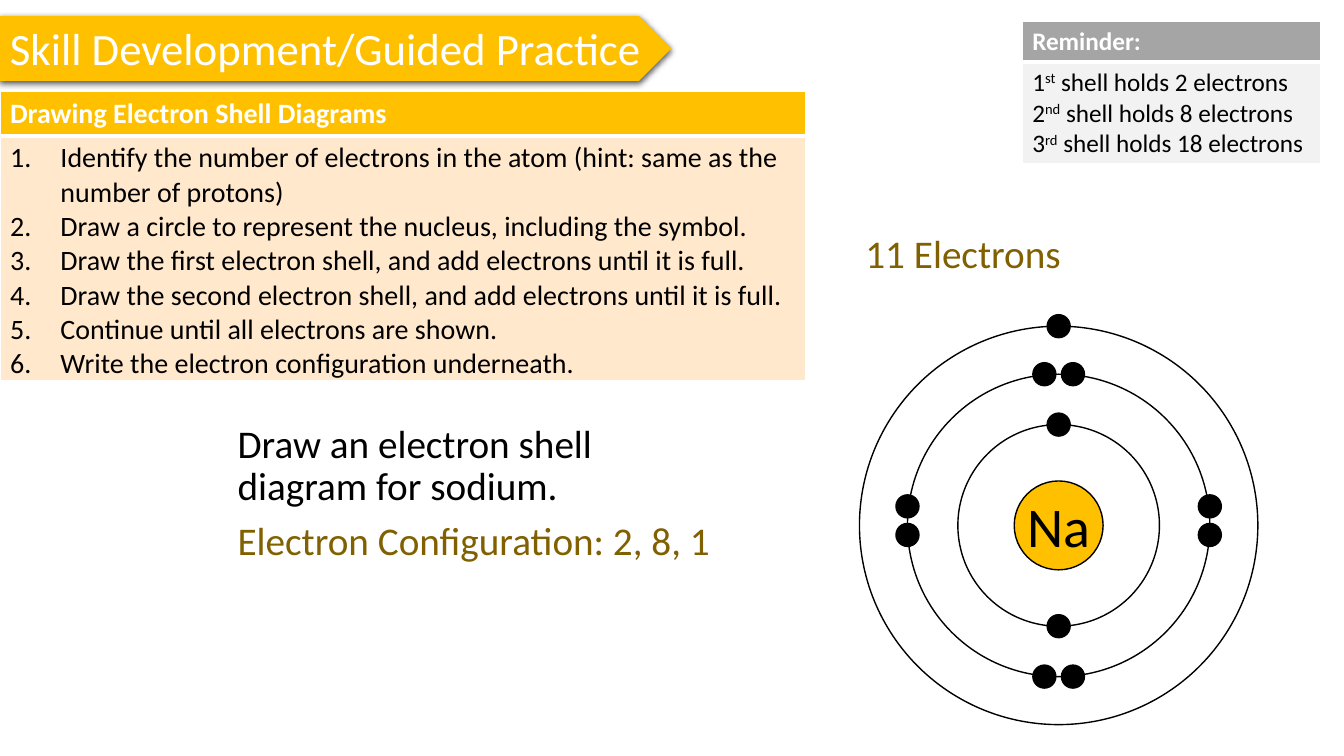
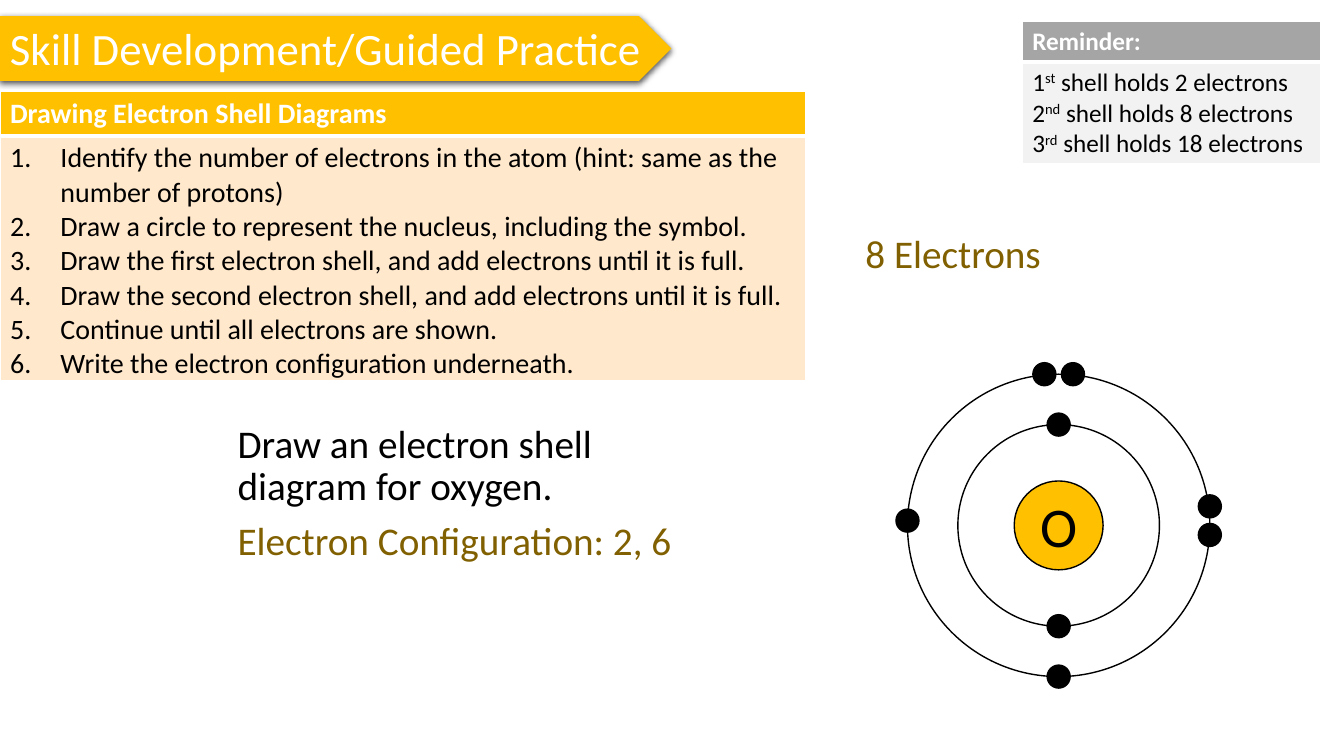
import lxml.etree
import pptx
import pptx.dml.color
import pptx.enum.shapes
import pptx.enum.text
import pptx.oxml.ns
import pptx.util

Cm = pptx.util.Cm
Pt = pptx.util.Pt
SHAPE = pptx.enum.shapes.MSO_SHAPE
ANCHOR = pptx.enum.text.MSO_ANCHOR
ALIGN = pptx.enum.text.PP_ALIGN
qn = pptx.oxml.ns.qn

FONT = "Calibri"
COLORS = {
    "gold": "FFC000",
    "cream": "FFE8CC",
    "gray": "A5A5A5",
    "pale": "F2F2F2",
    "answer": "806000",
    "black": "000000",
    "white": "FFFFFF",
}
STEPS = [
    "Identify the number of electrons in the atom (hint: same as the number of protons)",
    "Draw a circle to represent the nucleus, including the symbol.",
    "Draw the first electron shell, and add electrons until it is full.",
    "Draw the second electron shell, and add electrons until it is full.",
    "Continue until all electrons are shown.",
    "Write the electron configuration underneath.",
]
REMINDERS = [
    "1^st^ shell holds 2 electrons",
    "2^nd^ shell holds 8 electrons",
    "3^rd^ shell holds 18 electrons",
]
CENTER = (26.68, 13.24)
NUCLEUS_RADIUS = 1.12
ELECTRON_RADIUS = 0.29
PAIR_OFFSET = 0.36
SIDE_DRIFT = -0.12
SHELL_RADII = [2.54, 3.81, 5.02]
DIRECTIONS = {"top": (0, -1), "right": (1, 0), "bottom": (0, 1), "left": (-1, 0)}
ATOMS = [
    {
        "name": "sodium",
        "symbol": "Na",
        "shells": [
            {"top": 1, "bottom": 1},
            {"top": 2, "right": 2, "bottom": 2, "left": 2},
            {"top": 1},
        ],
    },
    {
        "name": "oxygen",
        "symbol": "O",
        "shells": [
            {"top": 1, "bottom": 1},
            {"top": 2, "right": 2, "bottom": 1, "left": 1},
        ],
    },
]


def rgb(name):
    return pptx.dml.color.RGBColor.from_string(COLORS[name])


def add_element(parent, tag, **attributes):
    return lxml.etree.SubElement(parent, qn(tag), attributes)


def write(frame, lines, size, color="black", bold=False, align=ALIGN.LEFT,
          spacing=None, after=None, numbered=False):
    for index, line in enumerate(lines):
        paragraph = frame.paragraphs[0] if index == 0 else frame.add_paragraph()
        if numbered:
            properties = paragraph._p.get_or_add_pPr()
            properties.set("marL", str(Cm(1.27)))
            properties.set("indent", str(-Cm(1.27)))
            add_element(properties, "a:buFont", typeface="+mj-lt")
            add_element(properties, "a:buAutoNum", type="arabicPeriod")
        paragraph.alignment = align
        if spacing:
            paragraph.line_spacing = spacing
        if after:
            paragraph.space_after = Pt(after)
        for position, text in enumerate(line.split("^")):
            span = paragraph.add_run()
            span.text = text
            span.font.name = FONT
            span.font.size = Pt(size)
            span.font.bold = bold
            span.font.color.rgb = rgb(color)
            if position % 2:
                span._r.get_or_add_rPr().set("baseline", "30000")


class Lesson:
    def __init__(self):
        self.deck = pptx.Presentation()
        self.deck.slide_width = Cm(33.87)
        self.deck.slide_height = Cm(19.05)
        self.page = None

    def add_page(self):
        self.page = self.deck.slides.add_slide(self.deck.slide_layouts[6])

    def shape(self, kind, left, top, width, height, fill=None, line=None):
        box = self.page.shapes.add_shape(kind, Cm(left), Cm(top), Cm(width), Cm(height))
        box.shadow.inherit = False
        if fill:
            box.fill.solid()
            box.fill.fore_color.rgb = rgb(fill)
        else:
            box.fill.background()
        if line:
            box.line.color.rgb = rgb(line)
            box.line.width = Pt(1)
        else:
            box.line.fill.background()
        return box

    def circle(self, x, y, radius, fill=None):
        return self.shape(SHAPE.OVAL, x - radius, y - radius, 2 * radius, 2 * radius,
                          fill, "black")

    def banner(self, text):
        box = self.shape(SHAPE.PENTAGON, 0, 0.41, 16.92, 1.63, "gold")
        effects = box._element.spPr.find(qn("a:effectLst"))
        shadow = add_element(effects, "a:outerShdw", blurRad=str(Pt(4.5)),
                             dist=str(Pt(1.5)), dir="5400000", algn="ctr", rotWithShape="0")
        color = add_element(shadow, "a:srgbClr", val=COLORS["black"])
        add_element(color, "a:alpha", val="63000")
        box.text_frame.word_wrap = False
        box.text_frame.vertical_anchor = ANCHOR.TOP
        write(box.text_frame, [text], 32, "white")

    def text(self, text, left, top, width, color="black"):
        box = self.page.shapes.add_textbox(Cm(left), Cm(top), Cm(width), Cm(2.18))
        box.text_frame.word_wrap = True
        write(box.text_frame, [text], 28, color, spacing=0.9, after=12)

    def borders(self, cell, top, bottom):
        properties = cell._tc.get_or_add_tcPr()
        for side, width in (("L", 1), ("R", 1), ("T", top), ("B", bottom)):
            line = add_element(properties, "a:ln" + side, w=str(Pt(width)))
            fill = add_element(line, "a:solidFill")
            add_element(fill, "a:srgbClr", val=COLORS["white"])

    def panel(self, heading, lines, place, heights, fills, size, numbered=False):
        left, top, width = place
        table = self.page.shapes.add_table(2, 1, Cm(left), Cm(top), Cm(width),
                                           Cm(sum(heights))).table
        table.horz_banding = False
        for row, height in zip(table.rows, heights):
            row.height = Cm(height)
        header, body = table.cell(0, 0), table.cell(1, 0)
        self.borders(header, 1, 3)
        self.borders(body, 3, 1)
        for cell, fill in zip((header, body), fills):
            cell.fill.solid()
            cell.fill.fore_color.rgb = rgb(fill)
        body.margin_bottom = 0
        write(header.text_frame, [heading], size, "white", bold=True)
        write(body.text_frame, lines, size, numbered=numbered)

    def electrons(self, radius, sides):
        for side, count in sides.items():
            across, down = DIRECTIONS[side]
            drift = SIDE_DRIFT if across else 0
            for offset in ([0] if count == 1 else [-PAIR_OFFSET, PAIR_OFFSET]):
                x = CENTER[0] + across * radius + abs(down) * offset
                y = CENTER[1] + down * radius + abs(across) * offset + drift
                self.circle(x, y, ELECTRON_RADIUS, "black")

    def atom(self, symbol, shells):
        nucleus = self.circle(*CENTER, NUCLEUS_RADIUS, "gold")
        frame = nucleus.text_frame
        frame.word_wrap = False
        frame.vertical_anchor = ANCHOR.MIDDLE
        frame.margin_left = frame.margin_right = frame.margin_top = frame.margin_bottom = 0
        write(frame, [symbol], 40, align=ALIGN.CENTER)
        for radius, sides in zip(SHELL_RADII, shells):
            self.circle(*CENTER, radius)
            self.electrons(radius, sides)


def main():
    lesson = Lesson()
    for atom in ATOMS:
        counts = [sum(sides.values()) for sides in atom["shells"]]
        configuration = ", ".join(str(count) for count in counts)
        lesson.add_page()
        lesson.banner("Skill Development/Guided Practice")
        lesson.text(f"Draw an electron shell diagram for {atom['name']}.", 5.74, 10.57, 12.45)
        lesson.panel("Drawing Electron Shell Diagrams", STEPS, (0, 2.31, 20.3),
                     (1.12, 6.17), ("gold", "cream"), 20, numbered=True)
        lesson.panel("Reminder:", REMINDERS, (25.76, 0.53, 7.52),
                     (1.04, 2.54), ("gray", "pale"), 18)
        lesson.atom(atom["symbol"], atom["shells"])
        lesson.text(f"Electron Configuration: {configuration}", 5.74, 13.03, 13.44, "answer")
        lesson.text(f"{sum(counts)} Electrons", 21.56, 5.79, 11.71, "answer")
    lesson.deck.save("out.pptx")


if __name__ == "__main__":
    main()
